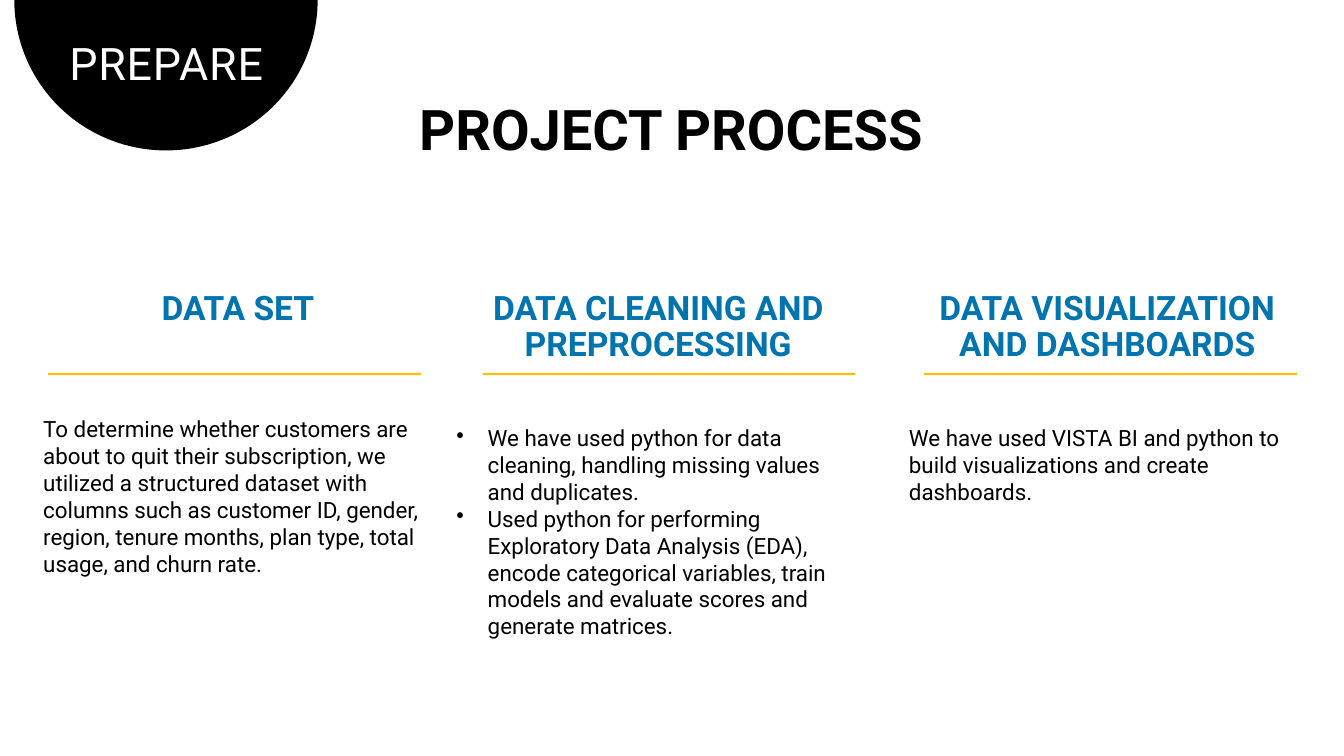
from math import cos, pi, sin

from pptx import Presentation
from pptx.dml.color import RGBColor
from pptx.enum.shapes import MSO_SHAPE
from pptx.enum.text import MSO_ANCHOR, PP_ALIGN
from pptx.oxml.ns import qn
from pptx.util import Pt

FONT = "Roboto"
COLORS = {"black": "000000", "white": "FFFFFF", "blue": "0074AF", "gold": "FFC000"}
BULLET_INDENT = 22.3
RULE_TOP, RULE_WIDTH, RULE_HEIGHT = 266.4, 266.4, 1.5
HEADING_TOP, HEADING_HEIGHT = 204.5, 60

# Each column: left, width, left of its rule, top of its text
COLUMNS = [
    {"left": 23.8, "width": 292.3, "rule": 34.4, "text_top": 293.2, "bullets": False,
     "heading": "DATA SET",
     "text": ["To determine whether customers are about to quit their subscription, "
              "we utilized a structured dataset with columns such as customer ID, "
              "gender, region, tenure months, plan type, total usage, and churn rate."]},
    {"left": 319, "width": 302.4, "rule": 344.7, "text_top": 299.6, "bullets": True,
     "heading": "DATA CLEANING AND PREPROCESSING",
     "text": ["We have used python for data cleaning, handling missing values "
              "and duplicates.",
              "Used python for performing Exploratory Data Analysis (EDA), encode "
              "categorical variables, train models and evaluate scores and "
              "generate matrices."]},
    {"left": 642.2, "width": 297.4, "rule": 660.2, "text_top": 299.6, "bullets": False,
     "heading": "DATA VISUALIZATION AND DASHBOARDS",
     "text": ["We have used VISTA BI and python to build visualizations and "
              "create dashboards."]},
]


def color(name):
    return RGBColor.from_string(COLORS[name])


def paint(shape, name):
    shape.fill.solid()
    shape.fill.fore_color.rgb = color(name)
    shape.line.fill.background()
    shape.shadow.inherit = False


def add_bullet(para):
    properties = para._p.get_or_add_pPr()
    properties.set("marL", str(Pt(BULLET_INDENT)))
    properties.set("indent", str(-Pt(BULLET_INDENT)))
    mark = properties.makeelement(qn("a:buChar"), {"char": "•"})
    properties.append(mark)


def write(box, texts, size, ink, bold=False, align=PP_ALIGN.CENTER,
          spacing=0.9, bullets=False):
    frame = box.text_frame
    frame.word_wrap = True
    frame.vertical_anchor = MSO_ANCHOR.TOP
    frame.margin_left = frame.margin_right = Pt(7.2)
    frame.margin_top = frame.margin_bottom = Pt(3.6)
    frame.text = "\n".join(texts)
    for para in frame.paragraphs:
        para.alignment = align
        para.line_spacing = spacing
        para.space_before = para.space_after = Pt(0)
        if bullets:
            add_bullet(para)
        for span in para.runs:
            span.font.name = FONT
            span.font.size = Pt(size)
            span.font.bold = bold
            span.font.color.rgb = color(ink)


def add_text(page, left, top, width, height, texts, size, ink, **style):
    box = page.shapes.add_textbox(Pt(left), Pt(top), Pt(width), Pt(height))
    write(box, texts, size, ink, **style)


def add_badge(page, left, top, width, height):
    # Half disc hanging from the top edge
    center, steps = left + width / 2, 90
    points = [(Pt(center + width / 2 * cos(pi * step / steps)),
               Pt(top + height * sin(pi * step / steps)))
              for step in range(steps + 1)]
    builder = page.shapes.build_freeform(*points[0])
    builder.add_line_segments(points[1:], close=True)
    disc = builder.convert_to_shape()
    paint(disc, "black")

    # Title on top of the disc
    title = page.shapes.title
    title.left, title.top = Pt(left + 15), Pt(top + 26.6)
    title.width, title.height = Pt(width - 29.5), Pt(42.5)
    write(title, ["PREPARE"], 32, "white")
    title.text_frame.paragraphs[0].runs[0].font._element.set("spc", "60")
    disc.element.addnext(title.element)


def add_column(page, column):
    left, width = column["left"], column["width"]
    add_text(page, left, HEADING_TOP, width, HEADING_HEIGHT,
             [column["heading"]], 24, "blue", bold=True)
    rule = page.shapes.add_shape(MSO_SHAPE.RECTANGLE, Pt(column["rule"]), Pt(RULE_TOP),
                                 Pt(RULE_WIDTH), Pt(RULE_HEIGHT))
    paint(rule, "gold")
    add_text(page, left, column["text_top"], width, 170, column["text"], 16, "black",
             align=PP_ALIGN.LEFT, spacing=1.0, bullets=column["bullets"])


def main():
    deck = Presentation()
    deck.slide_width, deck.slide_height = Pt(960), Pt(540)
    page = deck.slides.add_slide(deck.slide_layouts[5])
    page.background.fill.solid()
    page.background.fill.fore_color.rgb = color("white")
    add_badge(page, 10.2, 0, 216.7, 107.5)
    add_text(page, 121.7, 69.1, 715, 51, ["PROJECT PROCESS"], 40, "black", bold=True)
    for column in COLUMNS:
        add_column(page, column)
    deck.save("out.pptx")


if __name__ == "__main__":
    main()
